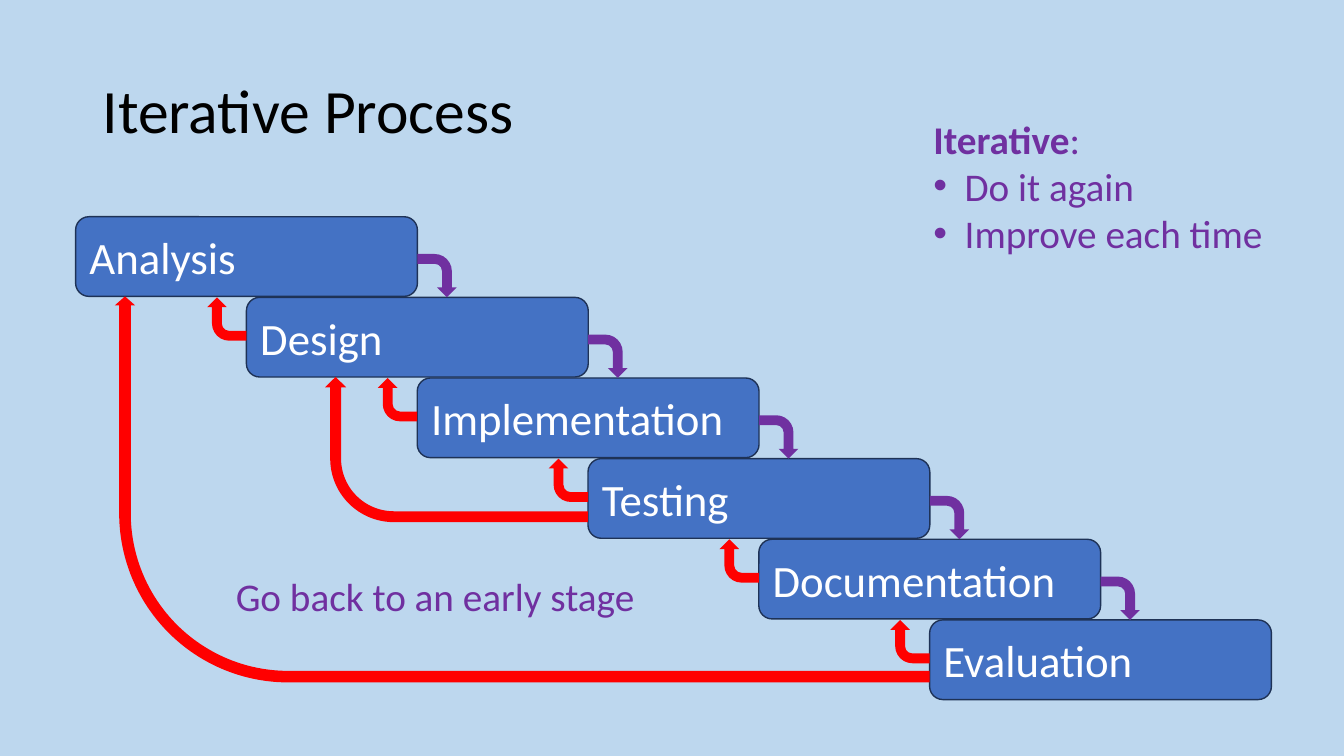
import pptx
import pptx.util
import pptx.dml.color
import pptx.enum.shapes
import pptx.enum.text
import pptx.oxml.ns
import lxml.etree

COLORS = {"background": "BDD7EE", "stage": "4472C4", "outline": "1E3256", "forward": "7030A0",
          "back": "FF0000", "note": "7030A0", "title": "000000", "white": "FFFFFF"}
FONT = "Calibri"
STAGES = ["Analysis", "Design", "Implementation", "Testing", "Documentation", "Evaluation"]
STAGE_W, STAGE_H = 3.39, 0.79
SHAPE = pptx.enum.shapes.MSO_SHAPE
ANCHOR = pptx.enum.text.MSO_ANCHOR


def rgb(name):
    return pptx.dml.color.RGBColor.from_string(COLORS[name])


def inches(*lengths):
    return [pptx.util.Inches(v) for v in lengths]


def add_run(p, text, size, color, bold=False):
    r = p.add_run()
    r.text = text
    r.font.name = FONT
    r.font.size = pptx.util.Pt(size)
    r.font.bold = bold
    r.font.color.rgb = rgb(color)


def add_bullet(p):
    pPr = p._p.get_or_add_pPr()
    indent = pptx.util.Inches(0.31)
    pPr.set("marL", str(indent))
    pPr.set("indent", str(-indent))
    for tag, key, value in (("a:buFont", "typeface", "Arial"), ("a:buChar", "char", "•")):
        lxml.etree.SubElement(pPr, pptx.oxml.ns.qn(tag)).set(key, value)


def add_title(s, box):
    tf = s.shapes.add_textbox(*inches(*box)).text_frame
    tf.word_wrap = True
    tf.vertical_anchor = ANCHOR.MIDDLE
    p = tf.paragraphs[0]
    p.line_spacing = 0.9
    add_run(p, "Iterative Process", 44, "title")


def add_note(s, box, heading, bullets=()):
    """Heading as (text, bold) runs, then bulleted lines."""
    tf = s.shapes.add_textbox(*inches(*box)).text_frame
    tf.word_wrap = False
    tf.auto_size = pptx.enum.text.MSO_AUTO_SIZE.SHAPE_TO_FIT_TEXT
    for text, bold in heading:
        add_run(tf.paragraphs[0], text, 28, "note", bold)
    for text in bullets:
        p = tf.add_paragraph()
        add_bullet(p)
        add_run(p, text, 28, "note")


def add_stage(s, left, top, label):
    sp = s.shapes.add_shape(SHAPE.ROUNDED_RECTANGLE, *inches(left, top, STAGE_W, STAGE_H))
    sp.shadow.inherit = False
    sp.fill.solid()
    sp.fill.fore_color.rgb = rgb("stage")
    sp.line.color.rgb = rgb("outline")
    sp.line.width = pptx.util.Pt(1)
    tf = sp.text_frame
    tf.word_wrap = True
    tf.vertical_anchor = ANCHOR.MIDDLE
    p = tf.paragraphs[0]
    p.alignment = pptx.enum.text.PP_ALIGN.LEFT
    add_run(p, label, 32, "white")


def add_bent_arrow(s, left, top, right, bottom, rotation, color, adjustments=()):
    """Fill the given bounds with an arrow turned a quarter, so its sides swap."""
    w, h = bottom - top, right - left
    sp = s.shapes.add_shape(SHAPE.BENT_ARROW, *inches(
        (left + right - w) / 2, (top + bottom - h) / 2, w, h))
    sp.rotation = rotation
    sp.shadow.inherit = False
    sp.fill.solid()
    sp.fill.fore_color.rgb = rgb(color)
    sp.line.fill.background()
    for i, value in enumerate(adjustments):
        sp.adjustments[i] = value


def add_staircase(s, box):
    left, top, width, height = box
    steps = len(STAGES) - 1
    dx, dy = (width - STAGE_W) / steps, (height - STAGE_H) / steps
    corners = [(left + i * dx, top + i * dy) for i in range(len(STAGES))]

    # Stages
    for (x, y), label in zip(corners, STAGES):
        add_stage(s, x, y, label)

    # Arrows to the next stage and back to the one before
    arrow_w, arrow_h = 0.39, 0.43
    for (x, y), (next_x, next_y) in zip(corners, corners[1:]):
        edge = x + STAGE_W
        add_bent_arrow(s, edge, next_y - arrow_h, edge + arrow_w, next_y, 90, "forward")
        add_bent_arrow(s, next_x - arrow_w, next_y, next_x, next_y + arrow_h, 270, "back")

    # Long returns: from stage, to stage, head offset, tail offset, adjustments
    returns = [(3, 1, 0.78, 0.63, (0.075, 0.073, 0.071, 0.438)),
               (5, 0, 0.39, 0.62, (0.03, 0.026, 0.023, 0.438))]
    for start, end, head, tail, adjustments in returns:
        (start_x, start_y), (end_x, end_y) = corners[start], corners[end]
        add_bent_arrow(s, end_x + head, end_y + STAGE_H, start_x, start_y + tail,
                       270, "back", adjustments)


def main():
    prs = pptx.Presentation()
    prs.slide_width, prs.slide_height = inches(13.33, 7.5)
    s = prs.slides.add_slide(prs.slide_layouts[6])
    s.background.fill.solid()
    s.background.fill.fore_color.rgb = rgb("background")

    add_title(s, (0.92, 0.4, 11.5, 1.45))
    add_staircase(s, (0.75, 2.15, 11.86, 4.79))
    add_note(s, (9.16, 1.09, 3.5, 1.51), [("Iterative", True), (":", False)],
             ["Do it again", "Improve each time"])
    add_note(s, (2.24, 5.63, 4.2, 0.57), [("Go back to an early stage", False)])
    prs.save("out.pptx")


if __name__ == "__main__":
    main()
